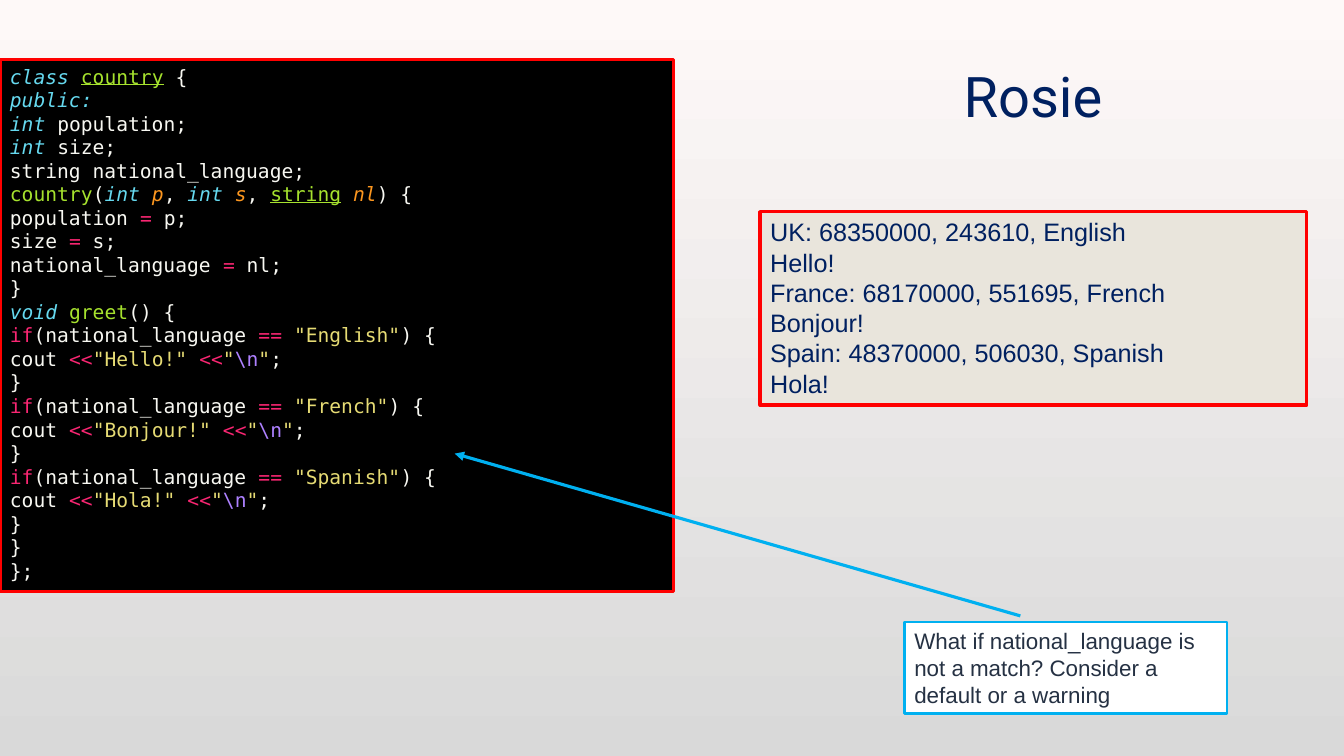
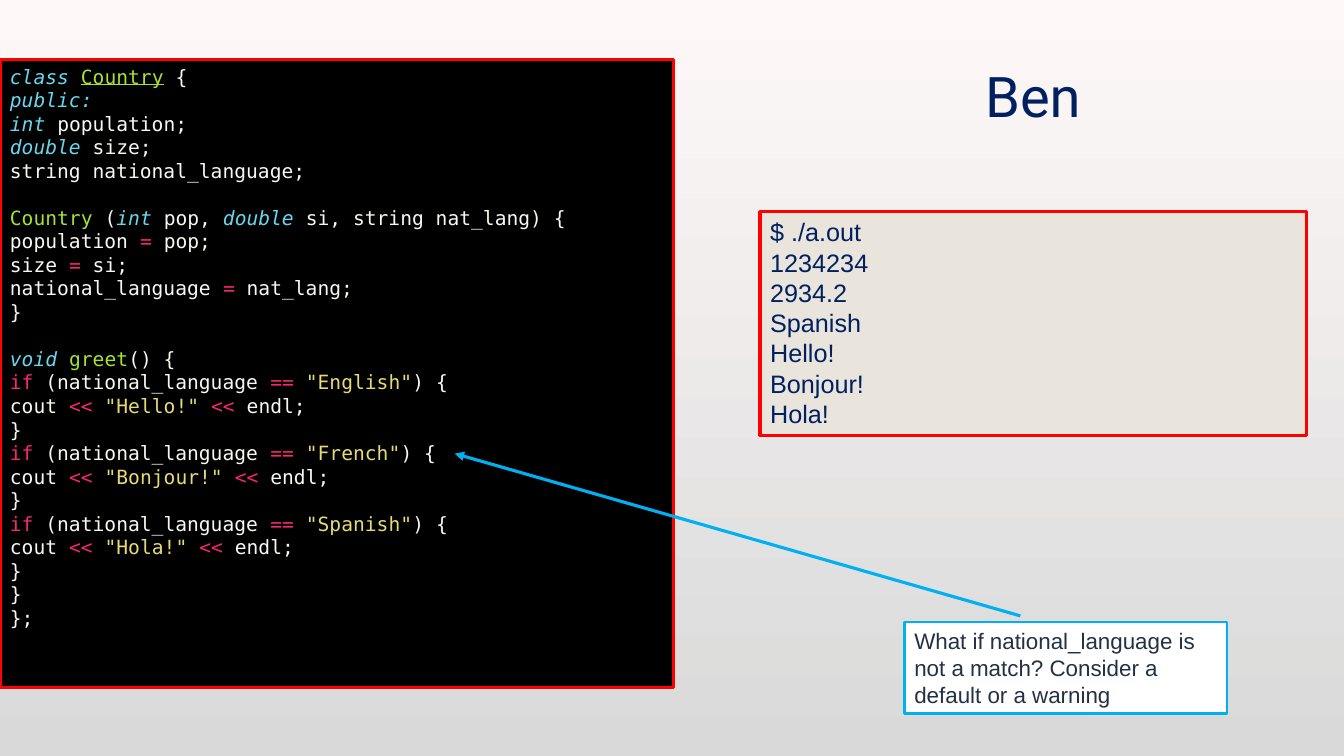
import pptx
import pptx.dml.color
import pptx.enum.shapes
import pptx.enum.text
import pptx.oxml
import pptx.oxml.ns
import pptx.util
from pptx.util import Inches

NAVY, RED, SKY = "002060", "FF0000", "00B0F0"
CODE_FONT, BODY_FONT, TITLE_FONT = "DejaVu Sans Mono", "Arial", "Roboto"
CODE_LINE = 16.8  # height of one line of code, in points

# Code styles: t type, n name, u underlined name, a argument,
# k operator or keyword, s string, e escape, p plain
CODE_STYLES = {
    "t": dict(color="66D9EF", italic=True),
    "n": dict(color="A6E22E"),
    "u": dict(color="A6E22E", underline=True),
    "a": dict(color="FD971F", italic=True),
    "k": dict(color="F92672"),
    "s": dict(color="E6DB74"),
    "e": dict(color="AE81FF"),
    "p": dict(color="F8F8F2"),
}


def rgb(value):
    return pptx.dml.color.RGBColor.from_string(value)


def add_xml(parent, xml, index=None):
    namespace = pptx.oxml.ns.nsdecls("a")
    element = pptx.oxml.parse_xml(xml.replace("/>", f" {namespace}/>", 1)
                                  if xml.endswith("/>") and xml.count("<") == 1
                                  else xml.replace(">", f" {namespace}>", 1))
    parent.insert(len(parent) if index is None else index, element)


def add_run(paragraph, text, size, color, font=BODY_FONT, italic=False, underline=False):
    run = paragraph.add_run()
    run.text = text
    run.font.name = font
    run.font.size = pptx.util.Pt(size)
    run.font.color.rgb = rgb(color)
    run.font.italic = italic
    run.font.underline = underline
    return run


class Deck:
    """Holds the shared style and the current slide."""

    def __init__(self):
        self.presentation = pptx.Presentation()
        self.presentation.slide_width = Inches(13.33)
        self.presentation.slide_height = Inches(7.5)
        self.slide = None
        # Shared background, light at the top
        fill = self.presentation.slide_master.background.fill
        fill.gradient()
        fill.gradient_angle = 270
        for stop, color in zip(fill.gradient_stops, ("FEF9F8", "D9D9D9")):
            stop.color.rgb = rgb(color)

    def add_slide(self, title):
        layout = self.presentation.slide_layouts[5]
        self.slide = self.presentation.slides.add_slide(layout)
        shape = self.slide.shapes.title
        shape.left, shape.top = Inches(8.17), Inches(0.25)
        shape.width, shape.height = Inches(4.15), Inches(1.38)
        frame = shape.text_frame
        frame.vertical_anchor = pptx.enum.text.MSO_ANCHOR.MIDDLE
        paragraph = frame.paragraphs[0]
        paragraph.alignment = pptx.enum.text.PP_ALIGN.CENTER
        run = add_run(paragraph, title, 40, NAVY, TITLE_FONT)
        # Faint outline and soft shadow around the letters
        properties = run.font._element
        add_xml(properties, '<a:ln w="9525"><a:solidFill><a:srgbClr val="404040">'
                '<a:alpha val="10000"/></a:srgbClr></a:solidFill></a:ln>', 0)
        add_xml(properties, '<a:effectLst><a:outerShdw blurRad="38100" dist="19050" dir="2700000">'
                '<a:srgbClr val="000000"><a:alpha val="40000"/></a:srgbClr>'
                '</a:outerShdw></a:effectLst>', 2)

    def box(self, left, top, width, height, fill, line, line_width):
        shape = self.slide.shapes.add_shape(
            pptx.enum.shapes.MSO_SHAPE.RECTANGLE,
            Inches(left), Inches(top), Inches(width), Inches(height))
        shape.shadow.inherit = False
        shape.fill.solid()
        shape.fill.fore_color.rgb = rgb(fill)
        shape.line.color.rgb = rgb(line)
        shape.line.width = pptx.util.Pt(line_width)
        shape.text_frame.word_wrap = True
        shape.text_frame.vertical_anchor = pptx.enum.text.MSO_ANCHOR.TOP
        return shape.text_frame

    def paragraphs(self, frame, lines):
        """Yield a left-aligned paragraph with each line."""
        for number, line in enumerate(lines):
            paragraph = frame.add_paragraph() if number else frame.paragraphs[0]
            paragraph.alignment = pptx.enum.text.PP_ALIGN.LEFT
            yield paragraph, line

    def code(self, lines, height):
        """Each line is 'style:text|style:text'; a leading ^ opens a gap above."""
        frame = self.box(0, 0.59, 6.68, height, "000000", RED, 2.5)
        for paragraph, line in self.paragraphs(frame, lines):
            if line.startswith("^"):
                paragraph.space_before = pptx.util.Pt(CODE_LINE)
            for part in line.lstrip("^").split("|"):
                style, text = part.split(":", 1)
                add_run(paragraph, text, 14, font=CODE_FONT, **CODE_STYLES[style])

    def output(self, lines, height):
        frame = self.box(7.54, 2.1, 5.42, height, "E9E5DC", RED, 2.5)
        for paragraph, line in self.paragraphs(frame, lines):
            add_run(paragraph, line, 18, NAVY)

    def arrow(self, start, end):
        connector = self.slide.shapes.add_connector(
            pptx.enum.shapes.MSO_CONNECTOR.STRAIGHT, *map(Inches, start + end))
        connector.line.color.rgb = rgb(SKY)
        connector.line.width = pptx.util.Pt(2.25)
        add_xml(connector.line._get_or_add_ln(), '<a:tailEnd type="triangle"/>')
        add_xml(connector._element.spPr, "<a:effectLst/>")

    def question(self, text):
        self.arrow((10.12, 6.11), (4.51, 4.5))
        frame = self.box(8.97, 6.17, 3.2, 0.91, "FFFFFF", SKY, 2)
        for paragraph, line in self.paragraphs(frame, [text]):
            add_run(paragraph, line, 16, "253143")


GREETINGS = {"English": "Hello!", "French": "Bonjour!", "Spanish": "Hola!"}
QUESTION = "What if national_language is not a match? Consider a default or a warning"


def class_opening(name, size_type):
    return [f"t:class |u:{name}|p: {{", "t:public:", "t:int|p: population;",
            f"t:{size_type}|p: size;", "p:string national_language;"]


def assignments(population, size, language):
    values = {"population": population, "size": size, "national_language": language}
    return [f"p:{field} |k:=|p: {value};" for field, value in values.items()] + ["p:}"]


def greet_body(space, line_end):
    """The tests for each language, then the ends of the method and the class."""
    lines = []
    for language, greeting in GREETINGS.items():
        lines += [f'k:if|p:{space}(national_language |k:== |s:"{language}"|p:) {{',
                  f'p:cout |k:<<{space}|s:"{greeting}" |k:<<{space}|{line_end}', "p:}"]
    return lines + ["p:}", "p:};"]


def main():
    deck = Deck()

    # Rosie
    deck.add_slide("Rosie")
    deck.code(class_opening("country", "int")
              + ["n:country|p:(|t:int |a:p|p:, |t:int |a:s|p:, |u:string|p: |a:nl|p:) {"]
              + assignments("p", "s", "nl")
              + ["t:void |n:greet|p:() {"]
              + greet_body("", r's:"|e:\n|s:"|p:;'), 5.28)
    deck.output(["UK: 68350000, 243610, English", GREETINGS["English"],
                 "France: 68170000, 551695, French", GREETINGS["French"],
                 "Spain: 48370000, 506030, Spanish", GREETINGS["Spanish"]], 1.92)
    deck.question(QUESTION)

    # Ben
    deck.add_slide("Ben")
    deck.code(class_opening("Country", "double")
              + ["^n:Country|p: (|t:int|p: pop, |t:double |p:si, string nat_lang) {"]
              + assignments("pop", "si", "nat_lang")
              + ["^t:void |n:greet|p:() {"]
              + greet_body(" ", "p:endl;"), 6.23)
    deck.output(["$ ./a.out", "1234234", "2934.2", "Spanish", *GREETINGS.values()], 2.22)
    deck.question(QUESTION)

    deck.presentation.save("out.pptx")


if __name__ == "__main__":
    main()
